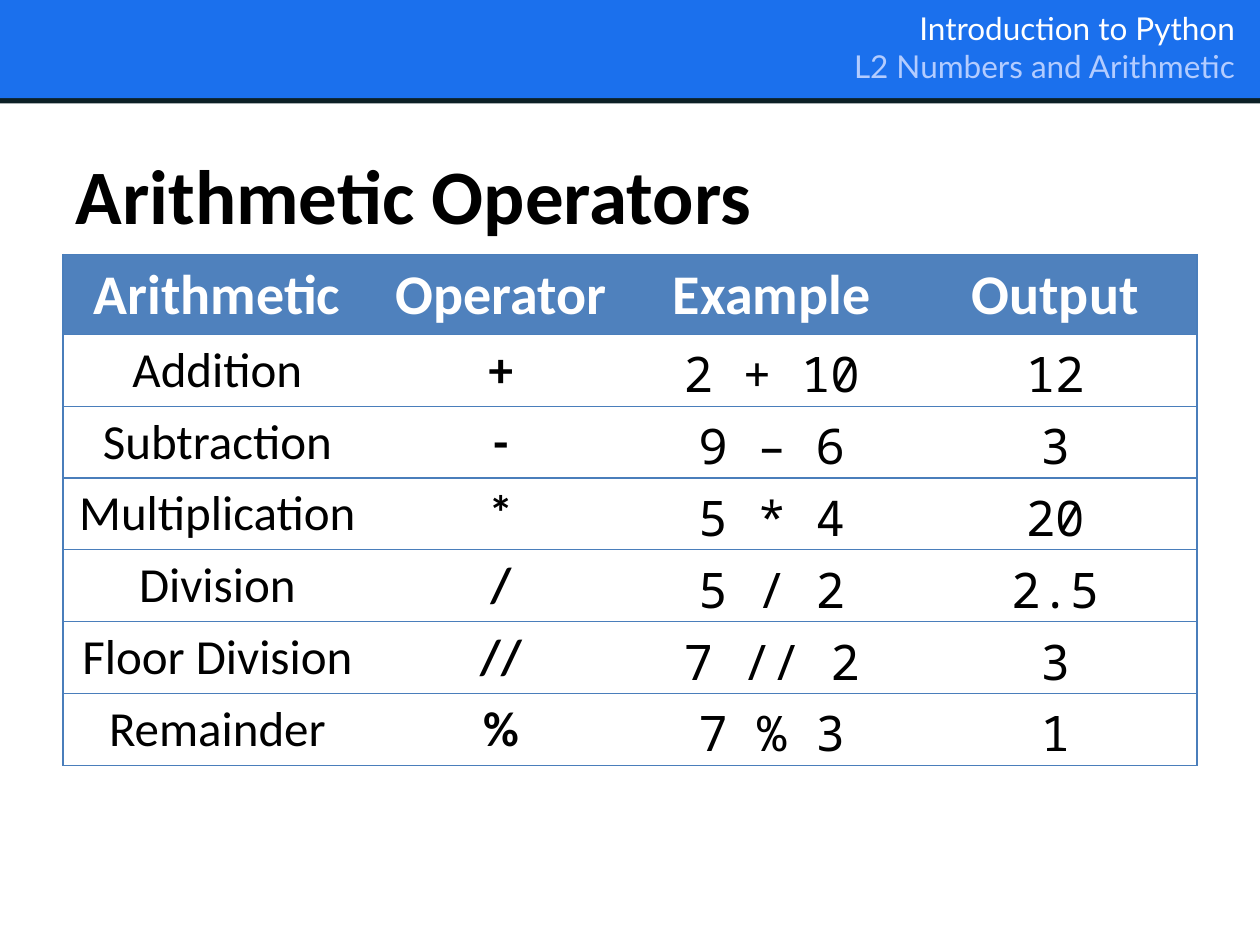
from dataclasses import dataclass

from lxml.etree import SubElement
from pptx import Presentation
from pptx.dml.color import RGBColor as Color
from pptx.enum.shapes import MSO_SHAPE as Shape
from pptx.enum.text import MSO_ANCHOR as Anchor, PP_ALIGN as Align
from pptx.oxml.ns import qn
from pptx.util import Pt


@dataclass(frozen=True)
class Theme:
    banner: str = "1B70ED"
    rule: str = "0C2026"
    white: str = "FFFFFF"
    pale: str = "B3CCFF"
    ink: str = "000000"
    header: str = "4F81BD"
    border: str = "4A7EBB"
    body_font: str = "Calibri"
    banner_font: str = "Lato"
    code_font: str = "Noto Sans Mono"
    banner_size: int = 18
    title_size: int = 44
    header_size: int = 32
    cell_size: int = 28


THEME = Theme()
TITLE = "Arithmetic Operators"
BANNER_LINES = [("Introduction to Python", THEME.white),
                ("L2 Numbers and Arithmetic", THEME.pale)]
HEADERS = ("Arithmetic", "Operator", "Example", "Output")
OPERATIONS = [
    ("Addition", "+", "2 + 10", "12"),
    ("Subtraction", "-", "9 – 6", "3"),
    ("Multiplication", "*", "5 * 4", "20"),
    ("Division", "/", "5 / 2", "2.5"),
    ("Floor Division", "//", "7 // 2", "3"),
    ("Remainder", "%", "7 % 3", "1"),
]
COLUMN_WIDTHS = (176.4, 147.6, 162, 162)
HEADER_HEIGHT, ROW_HEIGHT = 45.36, 41.04
BANDS = [((-5.76, 50.4, 727.2, 8.64), THEME.rule),
         ((-5.04, 0, 727.2, 56.16), THEME.banner)]
BANNER_BOX = (359.28, 2.16, 353.52, 49.68)
TITLE_BOX = (36, 75.6, 648, 69.84)
TABLE_LEFT, TABLE_TOP = 36, 145.44


def points(values):
    return [Pt(value) for value in values]


def style(span, font, size, color, bold=False):
    span.font.name = font
    span.font.size = Pt(size)
    span.font.color.rgb = Color.from_string(color)
    span.font.bold = bold


def draw_band(slide, area, color):
    band = slide.shapes.add_shape(Shape.RECTANGLE, *points(area))
    band.shadow.inherit = False
    band.fill.solid()
    band.fill.fore_color.rgb = Color.from_string(color)
    band.line.fill.background()


def draw_banner_text(slide):
    frame = slide.shapes.add_textbox(*points(BANNER_BOX)).text_frame
    frame.word_wrap = True
    frame.vertical_anchor = Anchor.MIDDLE
    para = frame.paragraphs[0]
    para.text = "\v".join(text for text, color in BANNER_LINES)
    para.alignment = Align.RIGHT
    for span, (text, color) in zip(para.runs, BANNER_LINES):
        style(span, THEME.banner_font, THEME.banner_size, color)


def draw_title(slide):
    title = slide.shapes.title
    title.left, title.top, title.width, title.height = points(TITLE_BOX)
    frame = title.text_frame
    frame.text = TITLE
    frame.vertical_anchor = Anchor.MIDDLE
    para = frame.paragraphs[0]
    para.alignment = Align.LEFT
    style(para.runs[0], THEME.body_font, THEME.title_size, THEME.ink, True)


def set_borders(cell, visible):
    properties = cell._tc.get_or_add_tcPr()
    for side in "LRTB":
        line = SubElement(properties, qn(f"a:ln{side}"), w=str(Pt(0.75)))
        if side in visible:
            fill = SubElement(line, qn("a:solidFill"))
            SubElement(fill, qn("a:srgbClr"), val=THEME.border)
        else:
            SubElement(line, qn("a:noFill"))


def format_cell(cell, text, row, column):
    last = len(HEADERS) - 1
    set_borders(cell, "TB" + {0: "L", last: "R"}.get(column, ""))
    cell.text = text
    para = cell.text_frame.paragraphs[0]
    para.alignment = Align.CENTER
    span = para.runs[0]
    if row == 0:
        cell.fill.solid()
        cell.fill.fore_color.rgb = Color.from_string(THEME.header)
        style(span, THEME.body_font, THEME.header_size, THEME.white, True)
    else:
        cell.fill.background()
        font = THEME.code_font if column >= 2 else THEME.body_font
        style(span, font, THEME.cell_size, THEME.ink, column == 1)


def draw_table(slide):
    rows = [HEADERS, *OPERATIONS]
    heights = [HEADER_HEIGHT] + [ROW_HEIGHT] * len(OPERATIONS)
    area = (TABLE_LEFT, TABLE_TOP, sum(COLUMN_WIDTHS), sum(heights))
    table = slide.shapes.add_table(len(rows), len(HEADERS), *points(area)).table
    table.first_row = table.horz_banding = False
    for column, width in zip(table.columns, COLUMN_WIDTHS):
        column.width = Pt(width)
    for row, (texts, height) in enumerate(zip(rows, heights)):
        table.rows[row].height = Pt(height)
        for column, text in enumerate(texts):
            format_cell(table.cell(row, column), text, row, column)


def main():
    deck = Presentation()
    deck.slide_width, deck.slide_height = Pt(720), Pt(540)
    slide = deck.slides.add_slide(deck.slide_layouts.get_by_name("Title Only"))
    for area, color in BANDS:
        draw_band(slide, area, color)
    draw_banner_text(slide)
    draw_title(slide)
    draw_table(slide)
    deck.save("out.pptx")


if __name__ == "__main__":
    main()
